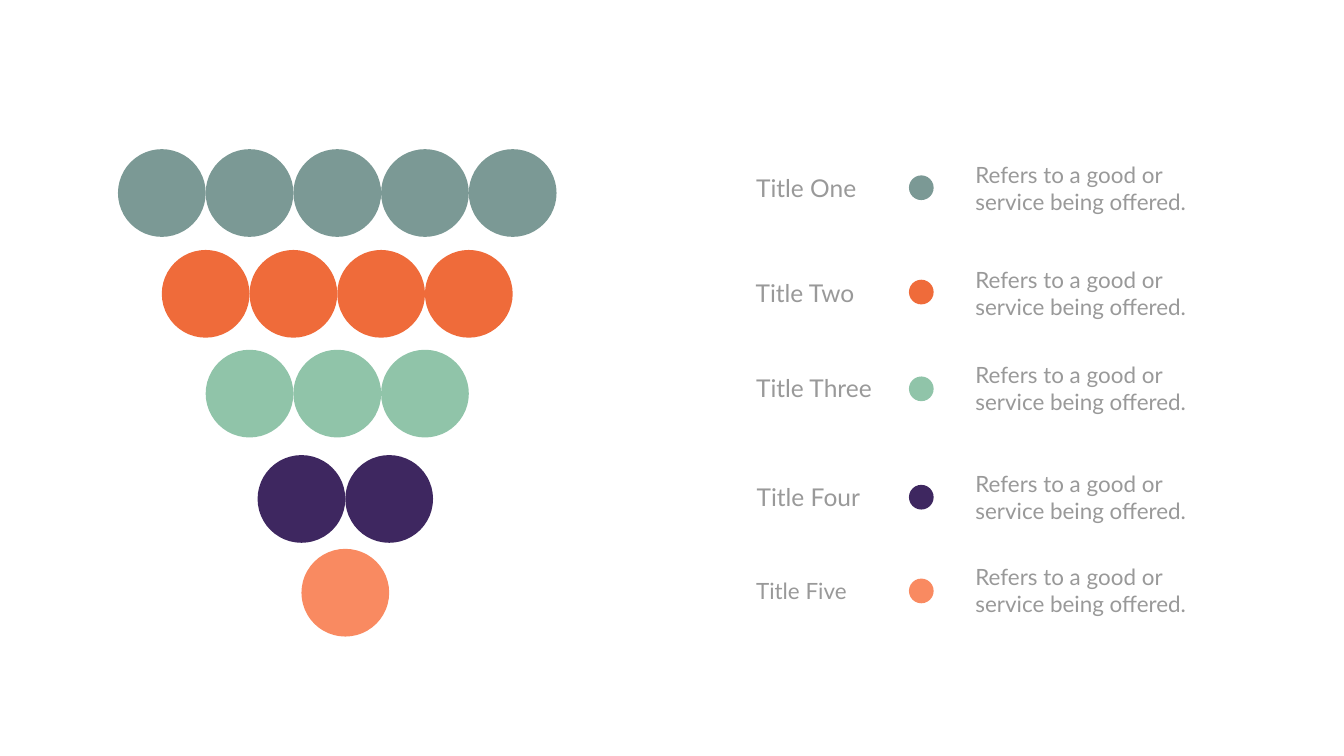
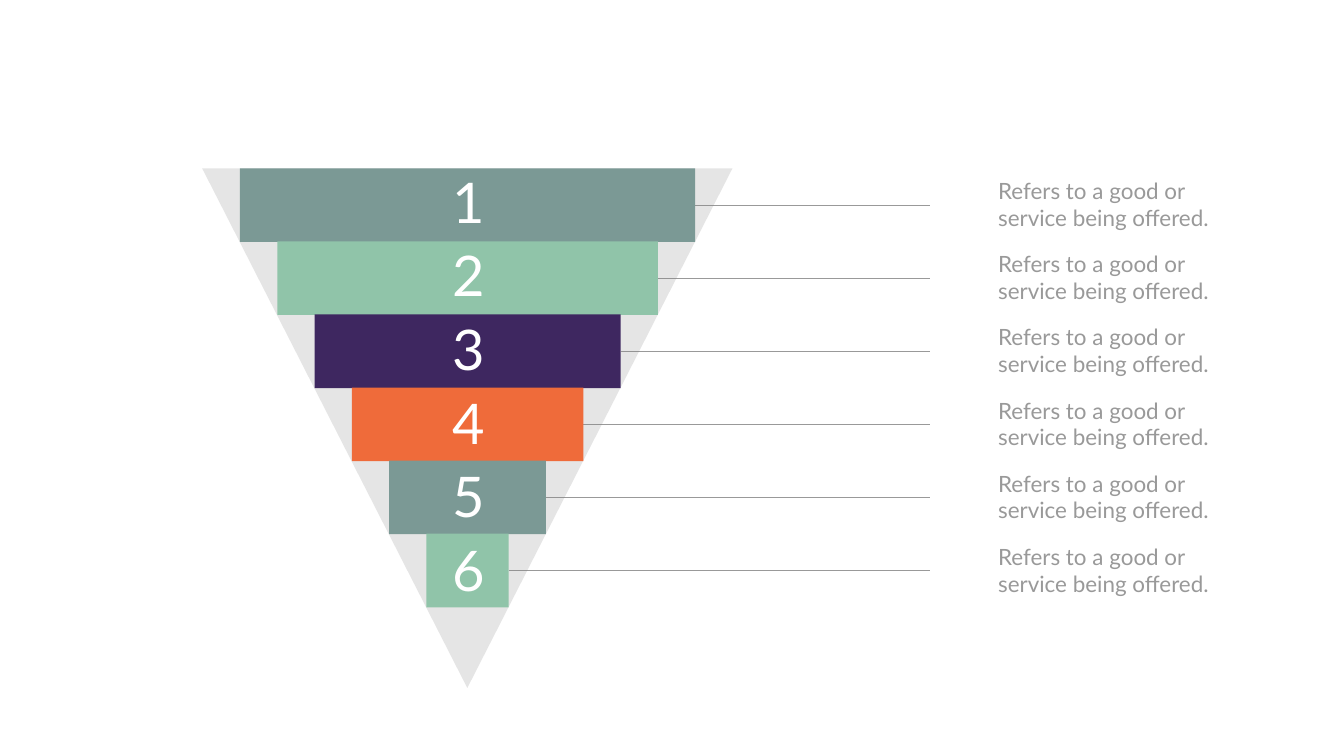
from lxml import etree
from pptx import Presentation
from pptx.dml.color import RGBColor
from pptx.enum import shapes, text
from pptx.oxml import ns
from pptx.util import Inches, Pt

FONT = "Lato"
GREY, WHITE, SHADE = "999999", "FFFFFF", "808080"
TEAL, ORANGE, MINT, PURPLE, CORAL = "7B9995", "EF6B3A", "90C4A9", "3E2760", "F98A61"
DESCRIPTION = ["Refers to a good or", "service being offered."]

BALL, BULLET = 1.74, 0.49
# count, row centre, row top, colour, title, size, title left, title top, title width, bullet top, description top
BALL_ROWS = [
    (5, 6.69, 2.96, TEAL, "Title One", 35, 14.9, 3.38, 2.21, 3.48, 3.14),
    (4, 6.69, 4.96, ORANGE, "Title Two", 35, 14.89, 5.46, 2.24, 5.55, 5.24),
    (3, 6.69, 6.94, MINT, "Title Three", 35, 14.9, 7.35, 2.55, 7.47, 7.12),
    (2, 6.85, 9.03, PURPLE, "Title Four", 35, 14.91, 9.52, 2.29, 9.62, 9.28),
    (1, 6.85, 10.89, CORAL, "Title Five", 32, 14.9, 11.4, 2.02, 11.48, 11.13),
]

STEP_COLORS = [TEAL, MINT, PURPLE, ORANGE, TEAL, MINT]
STEP_TOP, STEP_PITCH, STEP_HEIGHT = 3.34, 1.45, 1.46
STEP_LEFT, STEP_WIDTH, STEP_INSET = 4.76, 9.03, 0.74
LEADER_END = 18.45


def rgb(color):
    """Turn a hex string into a colour."""
    return RGBColor.from_string(color)


def paint(item, color, alpha=None):
    """Fill a shape with a hex colour, without outline or shadow."""
    item.shadow.inherit = False
    item.fill.solid()
    item.fill.fore_color.rgb = rgb(color)
    item.line.fill.background()
    if alpha is not None:
        tone = item._element.spPr.find(".//" + ns.qn("a:srgbClr"))
        etree.SubElement(tone, ns.qn("a:alpha")).set("val", str(alpha * 1000))


def add_block(slide, preset, left, top, width, height, color):
    """Add a plain coloured preset shape."""
    block = slide.shapes.add_shape(preset, Inches(left), Inches(top), Inches(width), Inches(height))
    paint(block, color)
    return block


def add_circle(slide, left, top, diameter, color):
    """Add a coloured circle."""
    return add_block(slide, shapes.MSO_SHAPE.OVAL, left, top, diameter, diameter, color)


def add_label(slide, lines, left, top, width, height, size=32, color=GREY):
    """Add an unwrapped text box with one paragraph for each line."""
    label = slide.shapes.add_textbox(Inches(left), Inches(top), Inches(width), Inches(height))
    frame = label.text_frame
    frame.word_wrap = False
    frame.auto_size = text.MSO_AUTO_SIZE.SHAPE_TO_FIT_TEXT
    frame.text = "\n".join(lines)
    for paragraph in frame.paragraphs:
        for run in paragraph.runs:
            run.font.name = FONT
            run.font.size = Pt(size)
            run.font.color.rgb = rgb(color)


def add_description(slide, left, top):
    """Add the two-line description that both slides use."""
    add_label(slide, DESCRIPTION, left, top, 4.46, 1.18)


def add_leader(slide, left, right, y):
    """Add a thin horizontal leader line."""
    leader = slide.shapes.add_connector(
        shapes.MSO_CONNECTOR.STRAIGHT, Inches(left), Inches(y), Inches(right), Inches(y))
    leader.line.color.rgb = rgb(GREY)
    leader.line.width = Pt(0.57)
    etree.SubElement(leader._element.spPr, ns.qn("a:effectLst"))
    return leader


def add_triangle(slide, corners, color, alpha):
    """Add a translucent triangle through three corners."""
    points = [(Inches(x), Inches(y)) for x, y in corners]
    builder = slide.shapes.build_freeform(*points[0])
    builder.add_line_segments(points[1:], close=True)
    paint(builder.convert_to_shape(), color, alpha)


def build_ball_funnel(slide):
    """Build the funnel of circles with its legend."""
    for count, centre, top, color, *_ in BALL_ROWS:
        for column in range(count):
            add_circle(slide, centre + (column - count / 2) * BALL, top, BALL, color)
    for _, _, _, color, title, size, left, top, width, bullet_top, description_top in BALL_ROWS:
        add_circle(slide, 18.03, bullet_top, BULLET, color)
        add_label(slide, [title], left, top, width, 0.69 if size == 35 else 0.64, size=size)
        add_description(slide, 19.25, description_top)


def build_step_funnel(slide):
    """Build the numbered funnel of bars with leader lines."""
    steps = range(len(STEP_COLORS))
    leaders = []
    for step in steps:
        right = STEP_LEFT + STEP_WIDTH - step * STEP_INSET
        middle = STEP_TOP + step * STEP_PITCH + STEP_HEIGHT / 2
        leaders.append(add_leader(slide, right, LEADER_END, middle))
    add_triangle(slide, [(4.01, 3.34), (14.53, 3.34), (9.27, 13.65)], SHADE, alpha=20)
    for step, color in enumerate(STEP_COLORS):
        bar = add_block(
            slide, shapes.MSO_SHAPE.RECTANGLE, STEP_LEFT + step * STEP_INSET,
            STEP_TOP + step * STEP_PITCH, STEP_WIDTH - 2 * step * STEP_INSET, STEP_HEIGHT, color)
        leaders[step].begin_connect(bar, 3)
    for step in steps:
        add_label(slide, [str(step + 1)], 8.87, 3.27 + step * 1.46, 0.85, 1.45, size=80, color=WHITE)
        add_description(slide, 19.7, 3.47 + step * STEP_PITCH)


def main():
    """Build both slides and save the presentation."""
    deck = Presentation()
    deck.slide_width, deck.slide_height = Inches(26.66), Inches(15)
    blank = deck.slide_layouts[6]
    for build in (build_ball_funnel, build_step_funnel):
        build(deck.slides.add_slide(blank))
    deck.save("out.pptx")


if __name__ == "__main__":
    main()
